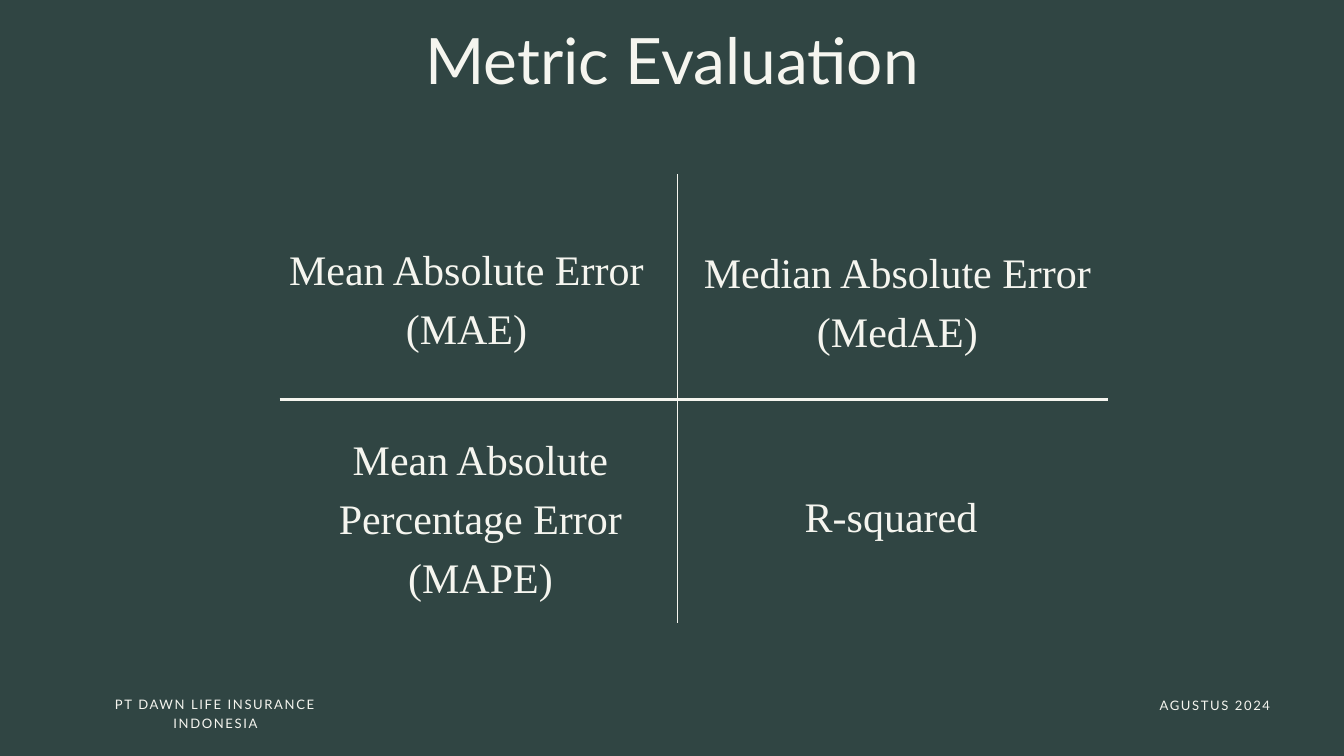
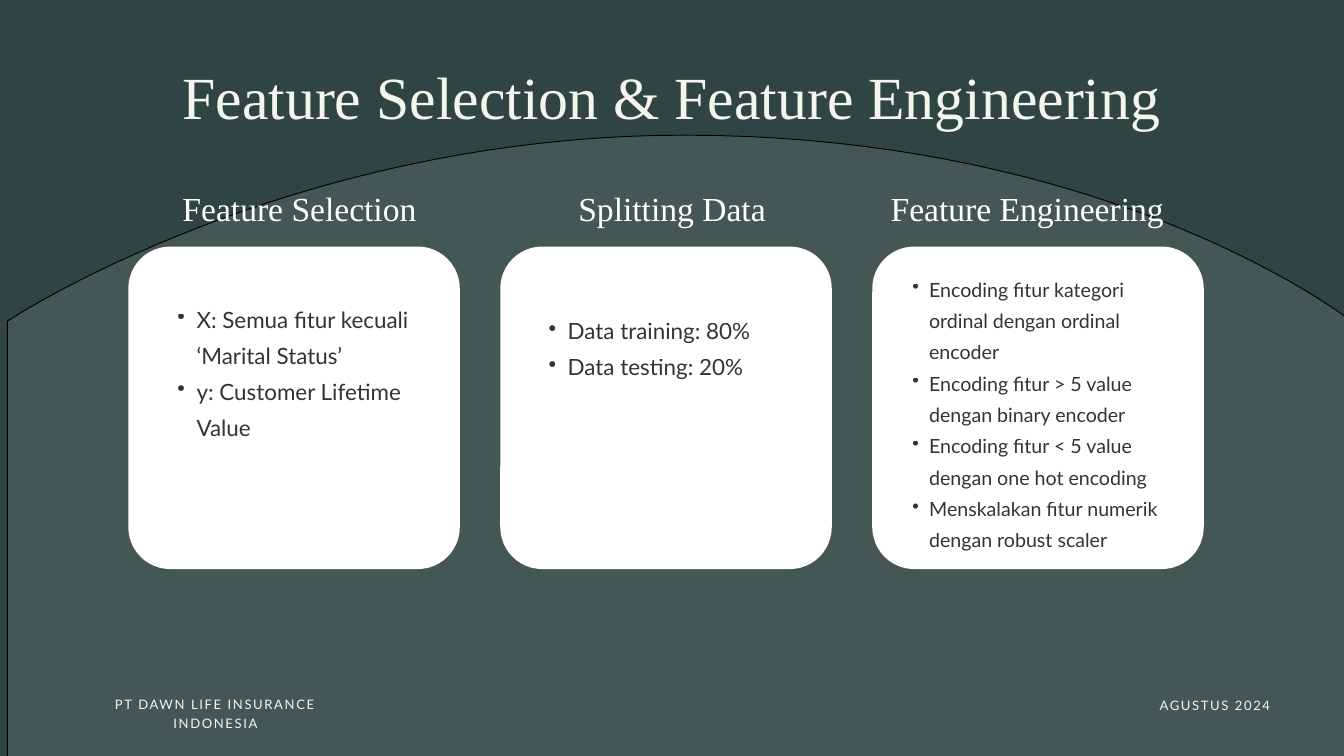
import pptx
import pptx.util
import pptx.dml.color
import pptx.enum.shapes
import pptx.enum.text
import pptx.oxml
import pptx.oxml.ns
from lxml import etree

Cm = pptx.util.Cm
Pt = pptx.util.Pt
RGB = pptx.dml.color.RGBColor
ALIGN = pptx.enum.text.PP_ALIGN
SHAPE = pptx.enum.shapes.MSO_SHAPE
qn = pptx.oxml.ns.qn

GREEN = RGB(0x30, 0x45, 0x43)
CREAM = RGB(0xF5, 0xF5, 0xEF)
PALE = RGB(0xFA, 0xFA, 0xFA)
WHITE = RGB(0xFF, 0xFF, 0xFF)
BLACK = RGB(0, 0, 0)
SERIF = "Times New Roman"
SANS = "Lato"

METRICS = [
    (10.39, 8.89, 14.48, ["Mean Absolute Error", "(MAE)"]),
    (25.83, 8.99, 16.18, ["Median Absolute Error", "(MedAE)"]),
    (10.92, 16.08, 14.48, ["Mean Absolute Percentage Error", "(MAPE)"]),
    (26.44, 18.24, 14.48, ["R-squared"]),
]
# heading, heading left and width, list left and top, text size, items
CARDS = [
    ("Feature Selection", 6.32, 10.01, 5.99, 11.23, 24,
     ["X: Semua fitur kecuali ‘Marital Status’",
      "y: Customer Lifetime Value"]),
    ("Splitting Data", 20.4, 10.01, 20.02, 11.66, 24,
     ["Data training: 80%", "Data testing: 20%"]),
    ("Feature Engineering", 33.32, 11.02, 33.86, 10.19, 21,
     ["Encoding fitur kategori ordinal dengan ordinal encoder",
      "Encoding fitur > 5 value dengan binary encoder",
      "Encoding fitur < 5 value dengan one hot encoding",
      "Menskalakan fitur numerik dengan robust scaler"]),
]


def fade(node, share):
    """Set the opacity, in percent, of every solid colour inside node."""
    for color in node.xpath(".//a:solidFill/a:srgbClr"):
        etree.SubElement(color, qn("a:alpha")).set("val", str(share * 1000))


def add_dot(para, size):
    """Give a paragraph a bullet with a hanging indent in step with its size."""
    para.level = 1
    props = para._p.get_or_add_pPr()
    props.set("marL", str(Cm(size * 0.06)))
    props.set("indent", str(-Cm(size * 0.03)))
    etree.SubElement(props, qn("a:buChar")).set("char", "•")


def add_text(slide, left, top, width, lines, size, font=SERIF, color=CREAM,
             align=ALIGN.CENTER, lead=1.4, track=0, dots=False, share=100):
    height = size * lead * len(lines) / 72 * 2.54
    box = slide.shapes.add_textbox(Cm(left), Cm(top), Cm(width), Cm(height))
    frame = box.text_frame
    frame.word_wrap = True
    frame.auto_size = pptx.enum.text.MSO_AUTO_SIZE.SHAPE_TO_FIT_TEXT
    frame.margin_left = frame.margin_right = 0
    frame.margin_top = frame.margin_bottom = 0
    for i, line in enumerate(lines):
        para = frame.add_paragraph() if i else frame.paragraphs[0]
        if dots:
            add_dot(para, size)
        para.alignment = align
        para.line_spacing = Pt(size * lead)
        run = para.add_run()
        run.text = line
        run.font.name = font
        run.font.size = Pt(size)
        run.font.color.rgb = color
        if track:
            run.font._element.set("spc", str(track))
    if share < 100:
        fade(box._element, share)


def add_rule(slide, x1, y1, x2, y2, weight):
    rule = slide.shapes.add_connector(
        pptx.enum.shapes.MSO_CONNECTOR.STRAIGHT, Cm(x1), Cm(y1), Cm(x2), Cm(y2))
    rule.line.color.rgb = CREAM
    rule.line.width = Pt(weight)
    etree.SubElement(rule._element.spPr, qn("a:effectLst"))


def curve(a, b, c, d, steps=40):
    """Points of a cubic curve from a to d, without a itself."""
    points = []
    for i in range(1, steps + 1):
        t = i / steps
        u = 1 - t
        points.append(tuple(
            Cm(u**3 * p + 3 * u * u * t * q + 3 * u * t * t * r + t**3 * s)
            for p, q, r, s in zip(a, b, c, d)))
    return points


def add_arch(slide):
    left, right, base = 0.28, 51.08, 28.65
    start, peak, end = (left, 12.14), (25.86, 5.11), (right, 12.14)
    pen = slide.shapes.build_freeform(Cm(right), Cm(base))
    pen.add_line_segments(
        [(Cm(left), Cm(base)), (Cm(left), Cm(12.14))]
        + curve(start, start, (10.85, 5.11), peak)
        + curve(peak, (42.19, 5.11), end, end))
    arch = pen.convert_to_shape()
    arch.shadow.inherit = False
    arch.fill.solid()
    arch.fill.fore_color.rgb = PALE
    fade(arch._element, 10)
    arch.line.color.rgb = BLACK
    arch.line.width = Pt(1)


def add_card(slide, left):
    card = slide.shapes.add_shape(
        SHAPE.ROUNDED_RECTANGLE, Cm(left), Cm(9.32), Cm(12.53), Cm(12.19))
    card.adjustments[0] = 0.13
    card.shadow.inherit = False
    card.fill.solid()
    card.fill.fore_color.rgb = WHITE
    card.line.fill.background()


def add_page(deck):
    """Add a blank slide with the shared ground and footer."""
    slide = deck.slides.add_slide(deck.slide_layouts[6])
    ground = slide.background.fill
    ground.solid()
    ground.fore_color.rgb = GREEN
    return slide


def add_foot(slide):
    add_text(slide, 2.9, 26.24, 10.49, ["PT DAWN LIFE INSURANCE INDONESIA"],
             14, SANS, track=170)
    add_text(slide, 42.24, 26.26, 5.77, ["AGUSTUS 2024"],
             14, SANS, align=ALIGN.RIGHT, track=170)


def show_metrics(deck):
    slide = add_page(deck)
    add_rule(slide, 25.6, 6.57, 25.6, 23.56, 1.4)
    add_rule(slide, 10.57, 15.1, 41.89, 15.1, 2.2)
    for left, top, width, lines in METRICS:
        add_text(slide, left, top, width, lines, 45)
    add_text(slide, 15.88, 0.28, 19.05, ["Metric Evaluation"], 68.5, SANS)
    add_foot(slide)


def show_features(deck):
    slide = add_page(deck)
    add_arch(slide)
    add_text(slide, 4, 1.8, 42.77,
             ["Feature Selection & Feature Engineering"], 64)
    for i, (head, left, width, x, y, size, items) in enumerate(CARDS):
        add_text(slide, left, 6.86, width, [head], 36, color=WHITE)
        add_card(slide, 4.85 + i * 14.06)
        add_text(slide, x, y, 10.74, items, size, SANS, BLACK, ALIGN.LEFT,
                 lead=1.6, dots=True, share=80)
    add_foot(slide)


def main():
    deck = pptx.Presentation()
    deck.slide_width = Cm(50.8)
    deck.slide_height = Cm(28.575)
    show_metrics(deck)
    show_features(deck)
    deck.save("out.pptx")


if __name__ == "__main__":
    main()
